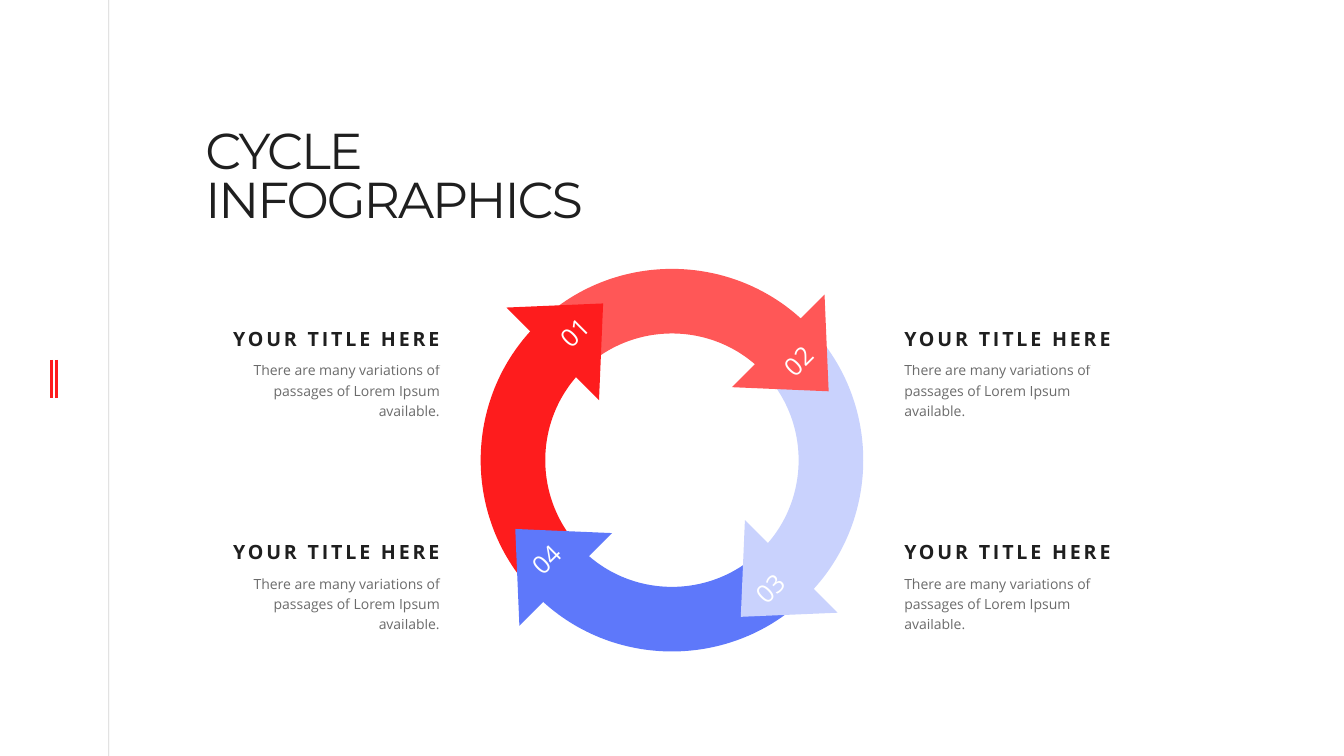
"""Build a slide with a four-step cycle of arrows, on a grid of 160 by 90 cells."""
from dataclasses import dataclass

import pptx
import pptx.dml.color
import pptx.enum.shapes
import pptx.enum.text
import pptx.oxml.ns
import pptx.util
from lxml import etree

CELL = 76200
DARK, RED, WHITE = "1F1F1F", "FE1C1D", "FFFFFF"
HUB = (80, 54.78)
OUTER, INNER = 22.8, 15.1
BEND = 0.55
DEPTH, HALF = 8.5, 7.8
LEFT = pptx.enum.text.PP_ALIGN.LEFT
RIGHT = pptx.enum.text.PP_ALIGN.RIGHT
CENTER = pptx.enum.text.PP_ALIGN.CENTER
Point = tuple[float, float]


@dataclass
class Step:
    mark: str
    fill: str


@dataclass
class Rule:
    col: float
    top: float
    end: float
    tint: str
    width: float
    alpha: int = 100


@dataclass
class Label:
    col: float
    row: float
    align: int


STEPS = [Step("01", RED), Step("02", "FF5757"), Step("03", "C9D2FD"), Step("04", "5E78FA")]
RULES = [Rule(12.95, 0, 90, DARK, 0.5, 20)] + [Rule(col, 42.85, 47.4, RED, 2) for col in (6.1, 6.7)]
LABELS = [Label(col, row, align) for row in (37.73, 63.15)
          for col, align in ((24.6, RIGHT), (106.1, LEFT))]


def cells(count: float) -> int:
    return round(count * CELL)


def color(code: str) -> pptx.dml.color.RGBColor:
    return pptx.dml.color.RGBColor.from_string(code)


def fade(node, alpha: int) -> None:
    if alpha < 100:
        tint = node.xpath(".//a:srgbClr")[0]
        etree.SubElement(tint, pptx.oxml.ns.qn("a:alpha")).set("val", str(alpha * 1000))


def style(line, face: str, size: float, tint: str, bold: bool = False,
          space: float = 0, alpha: int = 100) -> None:
    for run in line.runs:
        run.font.name, run.font.size, run.font.bold = face, pptx.util.Pt(size), bold
        run.font.color.rgb = color(tint)
        props = run._r.get_or_add_rPr()
        props.set("spc", str(round(space * 100)))
        fade(props, alpha)


def inset(frame, left: float, top: float, right: float, low: float) -> None:
    frame.margin_left, frame.margin_top = cells(left), cells(top)
    frame.margin_right, frame.margin_bottom = cells(right), cells(low)


def add_text(slide, col: float, row: float, width: float, height: float):
    frame = slide.shapes.add_textbox(*map(cells, (col, row, width, height))).text_frame
    frame.word_wrap = True
    return frame


def turn(point: Point, count: int) -> Point:
    for _ in range(count):
        point = (-point[1], point[0])
    return point


def add_form(slide, mid: Point, points: list[Point], fill: str):
    spots = [(cells(mid[0] + x), cells(mid[1] + y)) for x, y in points]
    form = slide.shapes.build_freeform(*spots[0])
    form.add_line_segments(spots[1:], close=True)
    shape = form.convert_to_shape()
    shape.rotation = 315
    shape.shadow.inherit = False
    shape.fill.solid()
    shape.fill.fore_color.rgb = color(fill)
    shape.line.fill.background()
    return shape


def add_rule(slide, rule: Rule) -> None:
    line = slide.shapes.add_connector(
        pptx.enum.shapes.MSO_CONNECTOR.STRAIGHT,
        *map(cells, (rule.col, rule.top, rule.col, rule.end)))
    line.line.width = pptx.util.Pt(rule.width)
    line.line.color.rgb = color(rule.tint)
    fade(line._element, rule.alpha)
    etree.SubElement(line._element.spPr, pptx.oxml.ns.qn("a:effectLst"))


def arc(size: float) -> list[Point]:
    return [(-size, 0), (-size, -size * BEND), (-size * BEND, -size), (0, -size)]


def curve(shape) -> None:
    lines = shape._element.xpath(".//a:lnTo")
    for trio in (lines[:3], lines[4:7]):
        bend = etree.Element(pptx.oxml.ns.qn("a:cubicBezTo"))
        trio[0].addprevious(bend)
        for line in trio:
            bend.append(line[0])
            line.getparent().remove(line)


def add_band(slide, step: Step, index: int) -> None:
    shift = turn((-OUTER / 2 ** 0.5, 0), index)
    mid = (HUB[0] + shift[0], HUB[1] + shift[1])
    ring = arc(OUTER) + arc(INNER)[::-1]
    points = [turn((x + OUTER / 2, y + OUTER / 2), index) for x, y in ring]
    curve(add_form(slide, mid, points, step.fill))


def add_head(slide, step: Step, index: int) -> None:
    shift = turn((-11.2, -15.65), index)
    mid = (HUB[0] + shift[0], HUB[1] + shift[1])
    tip = [(DEPTH / 2, 0), (-DEPTH / 2, HALF), (-DEPTH / 2, -HALF)]
    head = add_form(slide, mid, [turn(point, index) for point in tip], step.fill)
    frame = head.text_frame
    frame.text = step.mark
    frame.word_wrap = True
    frame.vertical_anchor = pptx.enum.text.MSO_ANCHOR.MIDDLE
    dx, dy = turn((1, 0), index)
    inset(frame, 2.4 if dx < 0 else 1.2, 2.4 if dy < 0 else 0.6,
          2.4 if dx > 0 else 1.2, 2.4 if dy > 0 else 0.6)
    frame.paragraphs[0].alignment = CENTER
    style(frame.paragraphs[0], "Open Sans", 18, WHITE)


def add_label(slide, label: Label) -> None:
    frame = add_text(slide, label.col, label.row, 29.3, 13.1)
    inset(frame, 1.56, 0.6, 1.56, 0.84)
    frame.text = "YOUR TITLE HERE"
    head, body = frame.paragraphs[0], frame.add_paragraph()
    body.text = "There are many variations of passages of Lorem Ipsum available."
    body.space_before = pptx.util.Pt(6)
    for line in (head, body):
        line.alignment, line.line_spacing = label.align, 1.2
    style(head, "Open Sans", 14, DARK, bold=True, space=2)
    style(body, "Open Sans", 10, DARK, alpha=65)


def add_title(slide) -> None:
    frame = add_text(slide, 24.45, 13.1, 55.4, 21.2)
    inset(frame, 0, 2.5, 0, 0)
    frame.text = "CYCLE INFOGRAPHICS"
    frame.paragraphs[0].line_spacing = 0.8
    style(frame.paragraphs[0], "Montserrat", 36, DARK, space=-1.5)


def main() -> None:
    deck = pptx.Presentation()
    deck.slide_width, deck.slide_height = cells(160), cells(90)
    slide = deck.slides.add_slide(deck.slide_layouts[6])
    for rule in RULES:
        add_rule(slide, rule)
    add_title(slide)
    for draw in (add_band, add_head):
        for index, step in enumerate(STEPS):
            draw(slide, step, index)
    for label in LABELS:
        add_label(slide, label)
    deck.save("out.pptx")


if __name__ == "__main__":
    main()
